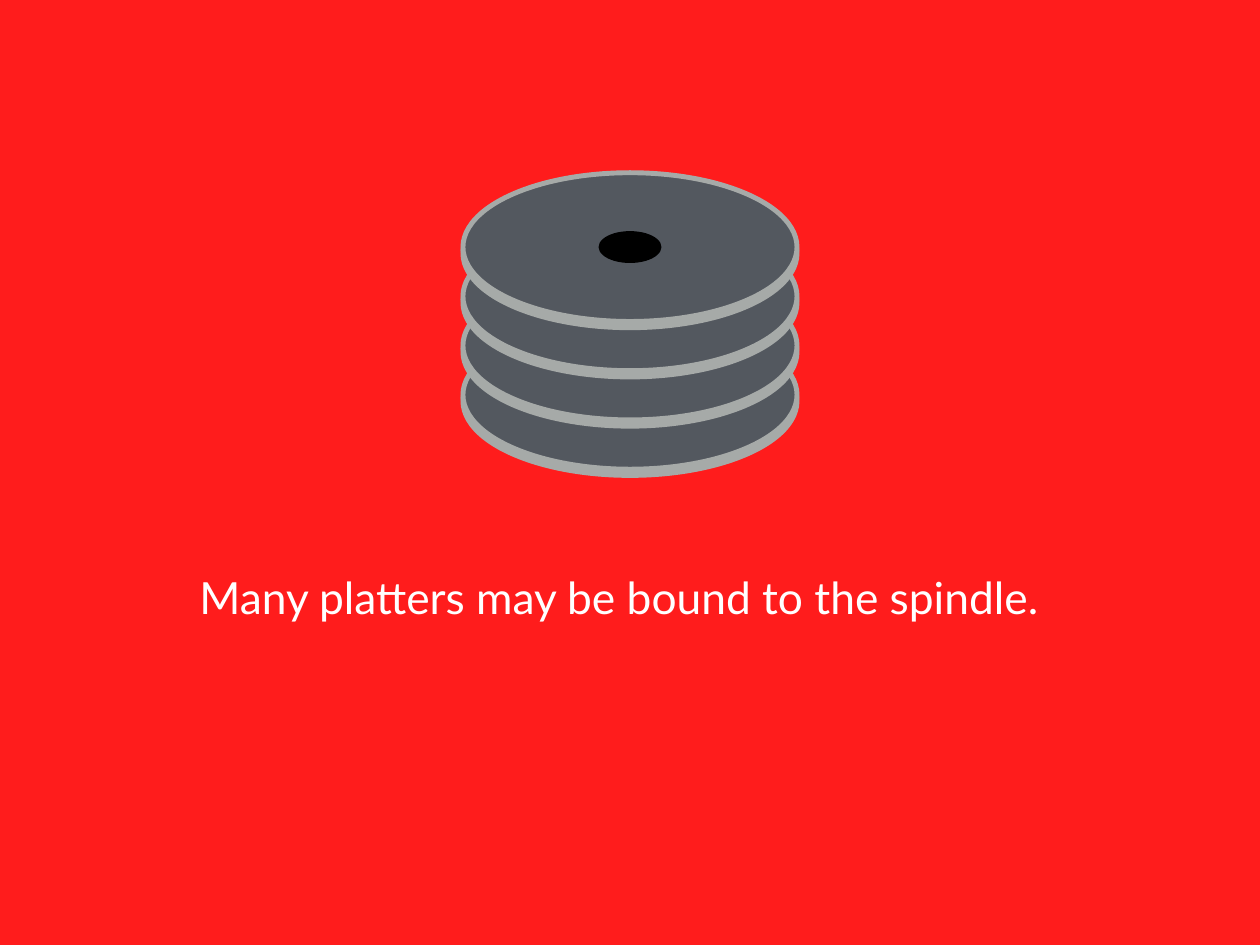
from dataclasses import dataclass
from typing import Optional

from pptx import Presentation
from pptx import util as u
from pptx.dml.color import RGBColor
from pptx.enum import shapes, text
from pptx.shapes.shapetree import GroupShapes
from pptx.slide import Slide


@dataclass(frozen=True)
class Theme:
    background: str = "FF1C1C"
    edge: str = "A6AAA8"
    surface: str = "53585F"
    hole: str = "000000"
    caption: str = "FFFFFF"
    font: str = "Lato"
    caption_size: int = 36
    edge_width: int = 4


@dataclass(frozen=True)
class Disc:
    """One ellipse of a platter; drop is its offset below the platter's top."""
    drop: float
    width: float
    height: float
    fill: str
    line: Optional[str] = None


THEME = Theme()
SLIDE_WIDTH, SLIDE_HEIGHT = 14.22, 10.67
PLATTER_COUNT = 4
STACK_TOP = 1.95
PLATTER_STEP = 0.556
PLATTER = (
    Disc(0.07, 3.77, 1.68, THEME.edge, THEME.edge),
    Disc(0, 3.77, 1.68, THEME.surface, THEME.edge),
    Disc(0.66, 0.71, 0.36, THEME.hole),
)


def add_disc(platter: GroupShapes, disc: Disc, platter_top: float) -> None:
    ellipse = platter.add_shape(
        shapes.MSO_SHAPE.OVAL,
        u.Inches((SLIDE_WIDTH - disc.width) / 2), u.Inches(platter_top + disc.drop),
        u.Inches(disc.width), u.Inches(disc.height))
    ellipse.shadow.inherit = False
    ellipse.fill.solid()
    ellipse.fill.fore_color.rgb = RGBColor.from_string(disc.fill)
    if disc.line:
        ellipse.line.color.rgb = RGBColor.from_string(disc.line)
        ellipse.line.width = u.Pt(THEME.edge_width)
    else:
        ellipse.line.fill.background()


def add_platter_stack(slide: Slide) -> None:
    """Draw from the lowest platter up, so each one overlaps the one below."""
    for level in reversed(range(PLATTER_COUNT)):
        platter = slide.shapes.add_group_shape().shapes
        for disc in PLATTER:
            add_disc(platter, disc, STACK_TOP + level * PLATTER_STEP)


def add_caption(slide: Slide, wording: str) -> None:
    caption = slide.shapes.add_textbox(
        u.Inches(2.19), u.Inches(6.38), u.Inches(9.85), u.Inches(0.71))
    frame = caption.text_frame
    frame.word_wrap = True
    frame.vertical_anchor = text.MSO_ANCHOR.MIDDLE
    frame.margin_left = frame.margin_right = u.Inches(0.06)
    frame.margin_top = frame.margin_bottom = u.Inches(0.06)
    sentence = frame.paragraphs[0]
    sentence.alignment = text.PP_ALIGN.LEFT
    run = sentence.add_run()
    run.text = wording
    run.font.name = THEME.font
    run.font.size = u.Pt(THEME.caption_size)
    run.font.color.rgb = RGBColor.from_string(THEME.caption)


def main() -> None:
    deck = Presentation()
    deck.slide_width = u.Inches(SLIDE_WIDTH)
    deck.slide_height = u.Inches(SLIDE_HEIGHT)
    slide = deck.slides.add_slide(deck.slide_layouts[6])
    slide.background.fill.solid()
    slide.background.fill.fore_color.rgb = RGBColor.from_string(THEME.background)
    add_platter_stack(slide)
    add_caption(slide, "Many platters may be bound to the spindle.")
    deck.save("out.pptx")


if __name__ == "__main__":
    main()
